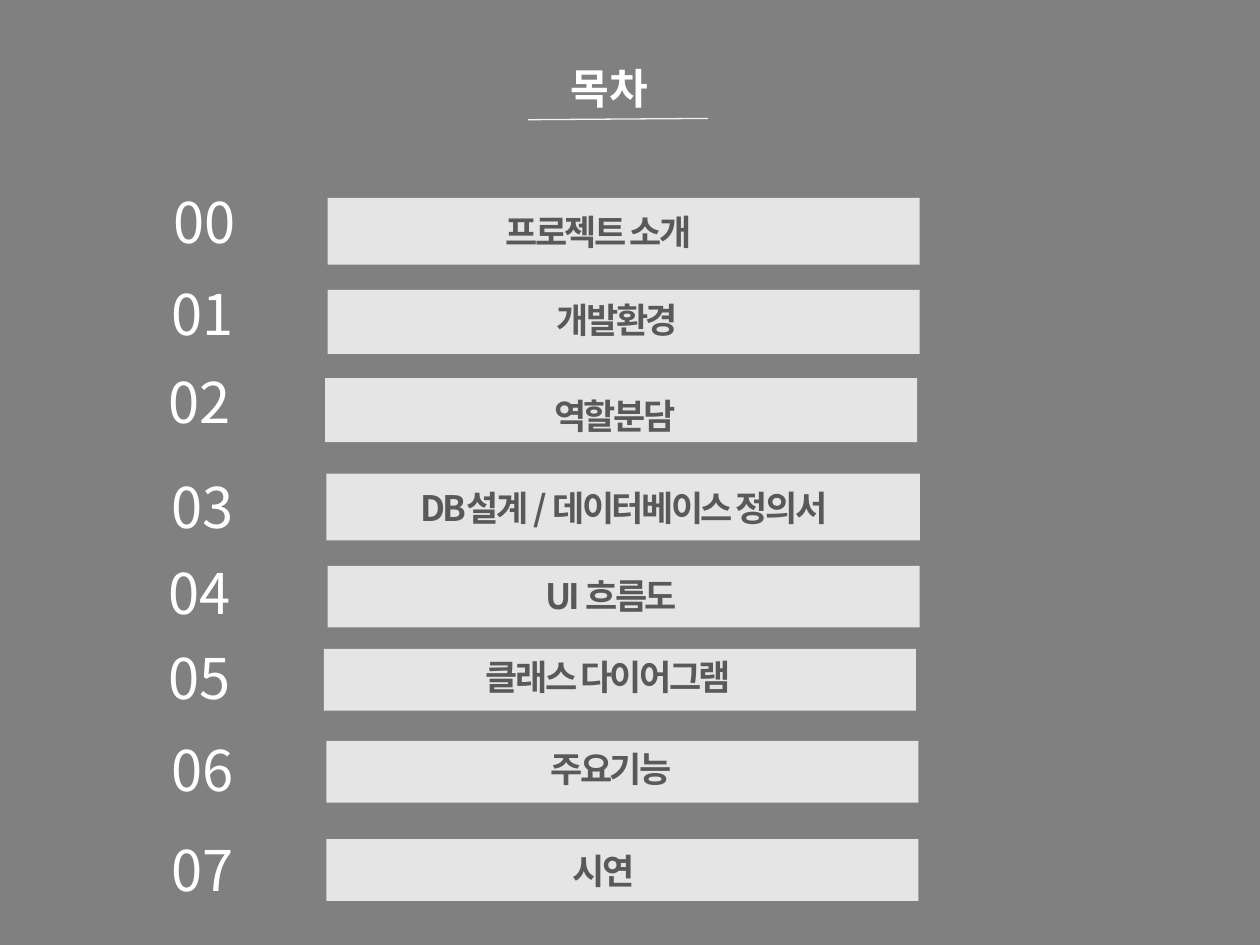
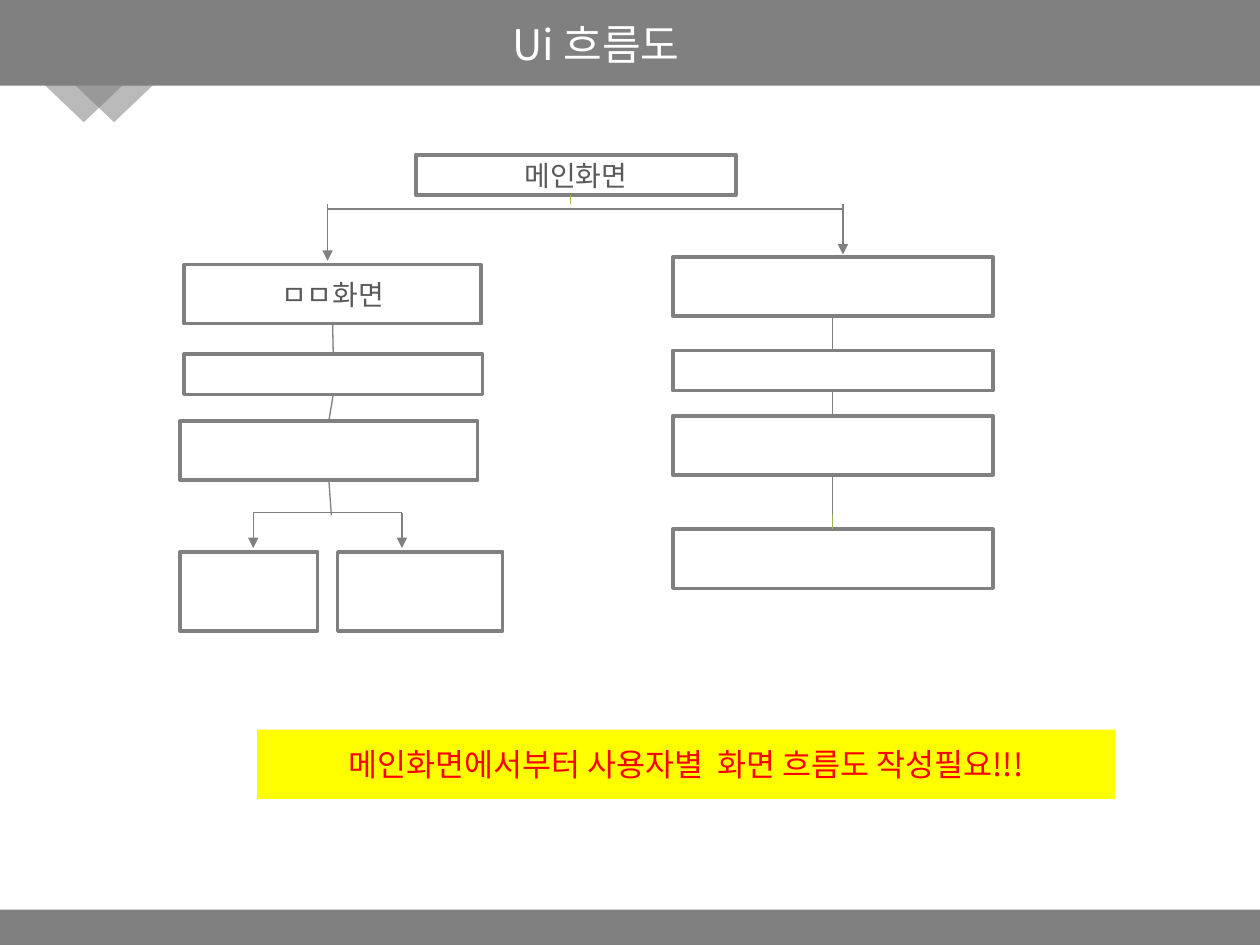
"""Builds the contents slide and the UI flow slide."""
import dataclasses

import pptx
import pptx.dml.color
import pptx.enum.shapes
import pptx.enum.text
import pptx.oxml.ns
import pptx.util
from lxml import etree

Inches = pptx.util.Inches
Pt = pptx.util.Pt
RGB = pptx.dml.color.RGBColor.from_string
qn = pptx.oxml.ns.qn
SHAPE = pptx.enum.shapes.MSO_SHAPE
STRAIGHT = pptx.enum.shapes.MSO_CONNECTOR.STRAIGHT
ALIGN = pptx.enum.text.PP_ALIGN
MIDDLE = pptx.enum.text.MSO_ANCHOR.MIDDLE
GROW = pptx.enum.text.MSO_AUTO_SIZE.SHAPE_TO_FIT_TEXT


@dataclasses.dataclass(frozen=True)
class Theme:
    gray: str = "808080"
    white: str = "FFFFFF"
    rule: str = "F2F2F2"
    ink: str = "595959"
    green: str = "98B955"
    yellow: str = "FFFF00"
    red: str = "FF0000"
    font: str = "Noto Sans CJK KR"
    alt_font: str = "Open Sans"
    title: int = 24
    number: int = 32
    entry: int = 20
    node: int = 16
    note: int = 18
    box_line: float = 2
    thin_line: float = 0.75


theme = Theme()


def write(sp, text, size, color, bold=False, align=ALIGN.CENTER, font=theme.font, spacing=None):
    tf = sp.text_frame
    tf.word_wrap = True
    p = tf.paragraphs[0]
    p.alignment = align
    r = p.add_run()
    r.text = text
    r.font.size = Pt(size)
    r.font.bold = bold
    r.font.name = font
    r.font.color.rgb = RGB(color)
    rpr = r.font._element
    etree.SubElement(rpr, qn("a:ea")).set("typeface", font)
    if spacing is not None:
        rpr.set("spc", str(int(spacing * 100)))


def block(shapes, kind, at, fill, alpha=None, line=None):
    sp = shapes.add_shape(kind, *map(Inches, at))
    sp.shadow.inherit = False
    sp.fill.solid()
    sp.fill.fore_color.rgb = RGB(fill)
    if alpha is not None:
        color = sp._element.spPr.find(".//" + qn("a:srgbClr"))
        etree.SubElement(color, qn("a:alpha")).set("val", str(alpha * 1000))
    if line is None:
        sp.line.fill.background()
    else:
        sp.line.color.rgb = RGB(line)
        sp.line.width = Pt(theme.box_line)
    return sp


prs = pptx.Presentation()
prs.slide_width = Inches(10)
prs.slide_height = Inches(7.5)
contents, flow = [prs.slides.add_slide(prs.slide_layouts[6]) for _ in range(2)]
for s in (contents, flow):
    s.background.fill.solid()
    s.background.fill.fore_color.rgb = RGB(theme.gray)

sp = contents.shapes.add_textbox(*map(Inches, (4.43, 0.45, 0.95, 0.5)))
write(sp, "목차", theme.title, theme.white, bold=True, align=ALIGN.LEFT)
sp.text_frame.auto_size = GROW

entries = [
    ("프로젝트 소개", (1.28, 1.44), (2.6, 1.57, 4.7, 0.53), (2.19, 1.62, 5.12)),
    ("개발환경", (1.26, 2.17), (2.6, 2.3, 4.7, 0.51), (2.55, 2.32, 4.7)),
    ("역할분담", (1.24, 2.87), (2.58, 3, 4.7, 0.51), (2.53, 3.08, 4.7)),
    ("DB설계 / 데이터베이스 정의서", (1.26, 3.7), (2.59, 3.76, 4.71, 0.53), (2.71, 3.81, 4.48)),
    ("UI 흐름도", (1.24, 4.38), (2.6, 4.49, 4.7, 0.49), (2.5, 4.51, 4.7)),
    ("클래스 다이어그램", (1.24, 5.06), (2.57, 5.15, 4.7, 0.49), (2.48, 5.15, 4.7)),
    ("주요기능", (1.26, 5.79), (2.59, 5.88, 4.7, 0.49), (2.5, 5.88, 4.7)),
    ("시연", (1.26, 6.58), (2.59, 6.66, 4.7, 0.49), (2.44, 6.69, 4.7)),
]
for i, (label, number_at, bar_at, label_at) in enumerate(entries):
    block(contents.shapes, SHAPE.RECTANGLE, bar_at, theme.white, alpha=80)
    sp = contents.shapes.add_textbox(*map(Inches, (*number_at, 1.14, 0.64)))
    write(sp, f"{i:02}", theme.number, theme.white, align=ALIGN.LEFT)
    sp.text_frame.auto_size = GROW
    sp = contents.shapes.add_textbox(*map(Inches, (*label_at, 0.44)))
    write(sp, label, theme.entry, theme.ink, bold=True, spacing=-1.5)
    sp.text_frame.auto_size = GROW

block(flow.shapes, SHAPE.RECTANGLE, (0, 0.68, 10, 6.54), theme.white)
sp = flow.shapes.add_textbox(*map(Inches, (3.45, 0.1, 2.56, 0.5)))
write(sp, "Ui 흐름도", theme.title, theme.white)
sp.text_frame.auto_size = GROW

nodes = {
    "main": (3.3, 1.23, 2.54, 0.32),
    "left_1": (1.46, 2.1, 2.36, 0.47),
    "left_2": (1.46, 2.81, 2.37, 0.32),
    "left_3": (1.43, 3.34, 2.36, 0.47),
    "leaf_1": (1.43, 4.38, 1.09, 0.63),
    "leaf_2": (2.68, 4.38, 1.31, 0.63),
    "right_1": (5.34, 2.04, 2.54, 0.47),
    "right_2": (5.34, 2.78, 2.54, 0.32),
    "right_3": (5.34, 3.3, 2.54, 0.47),
    "right_4": (5.34, 4.2, 2.54, 0.47),
}
boxes = {
    name: block(flow.shapes, SHAPE.RECTANGLE, at, theme.white, line=theme.gray)
    for name, at in nodes.items()
}
for name, text, font in (
    ("main", "메인화면", theme.font),
    ("left_1", "ㅁㅁ화면", theme.alt_font),
):
    write(boxes[name], text, theme.node, theme.ink, font=font)
    boxes[name].text_frame.vertical_anchor = MIDDLE

lines = [
    (contents, (4.19, 0.95), (5.62, 0.94), theme.rule, False),
    (flow, (2.6, 1.66), (6.69, 1.66), theme.gray, False),
    (flow, (4.53, 1.55), (4.53, 1.62), theme.green, False),
    (flow, (2.6, 1.62), (2.6, 2.07), theme.gray, True),
    (flow, (6.69, 1.62), (6.69, 2.02), theme.gray, True),
    (flow, "left_1", "left_2", theme.gray, False),
    (flow, "left_2", "left_3", theme.gray, False),
    (flow, "left_3", (2.63, 4.09), theme.gray, False),
    (flow, (3.19, 4.07), (2.01, 4.07), theme.gray, False),
    (flow, (2.01, 4.07), (2.01, 4.35), theme.gray, True),
    (flow, (3.19, 4.07), (3.19, 4.35), theme.gray, True),
    (flow, "right_1", "right_2", theme.gray, False),
    (flow, "right_2", "right_3", theme.gray, False),
    (flow, (6.61, 3.97), "right_4", theme.green, False),
    (flow, "right_3", (6.61, 4.09), theme.gray, False),
]
for s, start, end, color, arrow in lines:
    start_at = (0, 0) if start in boxes else start
    end_at = (0, 0) if end in boxes else end
    cx = s.shapes.add_connector(STRAIGHT, *map(Inches, (*start_at, *end_at)))
    if start in boxes:
        cx.begin_connect(boxes[start], 2)
    if end in boxes:
        cx.end_connect(boxes[end], 0)
    cx.line.color.rgb = RGB(color)
    cx.line.width = Pt(theme.thin_line)
    if arrow:
        etree.SubElement(cx.line._get_or_add_ln(), qn("a:tailEnd")).set("type", "triangle")
    etree.SubElement(cx._element.spPr, qn("a:effectLst"))

marks = flow.shapes.add_group_shape()
for x in (0.35, 0.59):
    sp = block(marks.shapes, SHAPE.ISOSCELES_TRIANGLE, (x, 0.67, 0.63, 0.3), theme.gray, alpha=55)
    sp.rotation = 180

sp = block(flow.shapes, SHAPE.RECTANGLE, (2.04, 5.79, 6.81, 0.55), theme.yellow)
write(sp, "메인화면에서부터 사용자별  화면 흐름도 작성필요!!!", theme.note, theme.red)
sp.text_frame.vertical_anchor = MIDDLE

prs.save("out.pptx")
